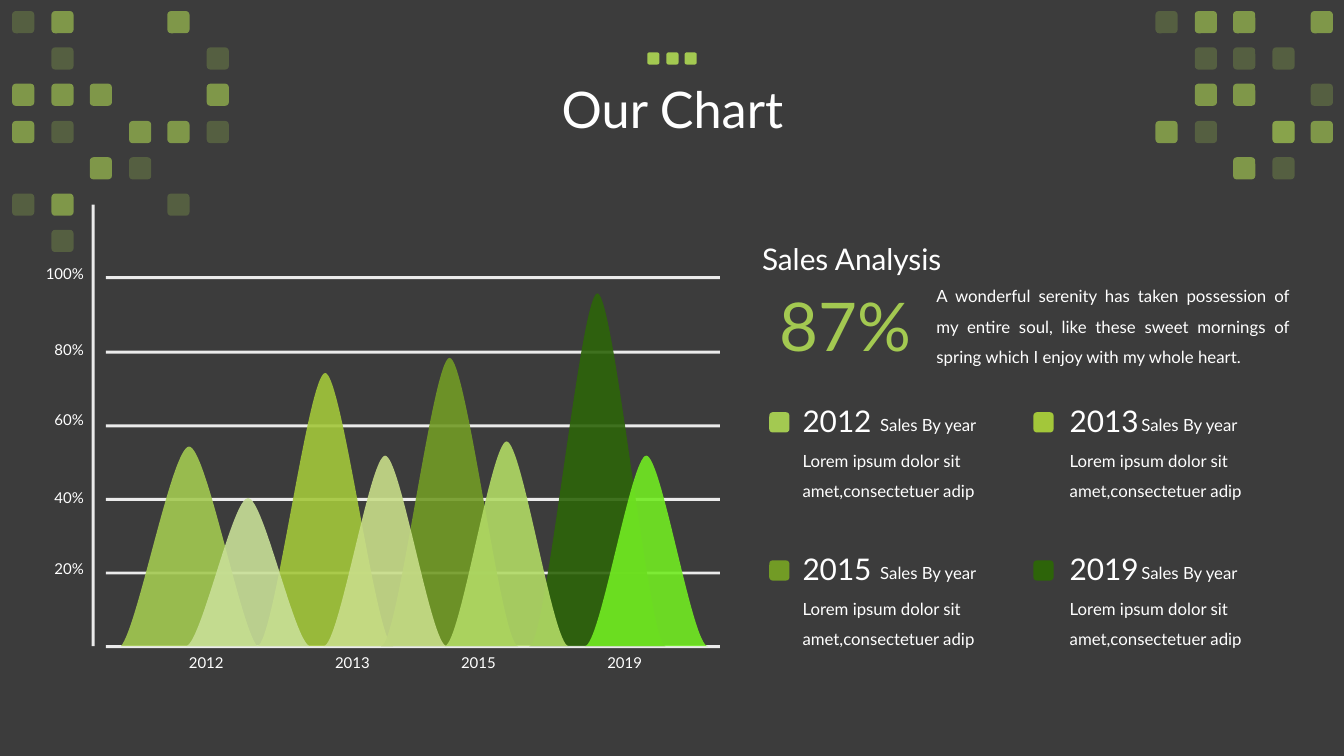
from lxml import etree
from pptx import Presentation
from pptx.dml.color import RGBColor
from pptx.enum.shapes import MSO_SHAPE
from pptx.enum.text import MSO_ANCHOR, MSO_AUTO_SIZE, PP_ALIGN
from pptx.oxml.ns import qn
from pptx.util import Pt

PX = 9144
FONT = "Lato"
RECTANGLE, ROUNDED = MSO_SHAPE.RECTANGLE, MSO_SHAPE.ROUNDED_RECTANGLE
LEFT, CENTER, RIGHT, JUSTIFY = PP_ALIGN.LEFT, PP_ALIGN.CENTER, PP_ALIGN.RIGHT, PP_ALIGN.JUSTIFY
MIDDLE, NO_AUTOFIT = MSO_ANCHOR.MIDDLE, MSO_AUTO_SIZE.NONE
COLORS = {
    "background": "3C3C3C",
    "white": "FFFFFF",
    "lime": "A3C951",
    "olive": "A3C73A",
    "moss": "729B25",
    "forest": "2D6409",
    "pale": "C8DF97",
    "neon": "72EB22",
    "spring": "B1DA65",
    "sage": "C8DD89",
}


def paint(shape, color, opacity=100):
    shape.shadow.inherit = False
    shape.line.fill.background()
    shape.fill.solid()
    shape.fill.fore_color.rgb = RGBColor.from_string(COLORS[color])
    if opacity < 100:
        color_element = shape.element.spPr.find(".//" + qn("a:srgbClr"))
        etree.SubElement(color_element, qn("a:alpha"), val=str(opacity * 1000))


def add_text(text, box, size, align=LEFT, color="white", spacing=None, wrap=True, margins=(10, 5)):
    text_box = slide.shapes.add_textbox(*[value * PX for value in box])
    frame = text_box.text_frame
    frame.word_wrap = wrap
    frame.margin_left = frame.margin_right = margins[0] * PX
    frame.margin_top = frame.margin_bottom = margins[1] * PX
    paragraph = frame.paragraphs[0]
    paragraph.text = text
    paragraph.alignment = align
    paragraph.line_spacing = spacing
    paragraph.font.name = FONT
    paragraph.font.size = Pt(size)
    paragraph.font.color.rgb = RGBColor.from_string(COLORS[color])


presentation = Presentation()
presentation.slide_width = 1333 * PX
presentation.slide_height = 750 * PX
slide = presentation.slides.add_slide(presentation.slide_layouts[5])
slide.background.fill.solid()
slide.background.fill.fore_color.rgb = RGBColor.from_string(COLORS["background"])

title = slide.shapes.title
title.left, title.top, title.width, title.height = 92 * PX, 39 * PX, 1150 * PX, 145 * PX
title.text_frame.text = "Our Chart"
title.text_frame.vertical_anchor = MIDDLE
title.text_frame.auto_size = NO_AUTOFIT
heading = title.text_frame.paragraphs[0]
heading.alignment = CENTER
heading.line_spacing = 0.9
heading.font.name = FONT
heading.font.size = Pt(36)
heading.font.color.rgb = RGBColor.from_string(COLORS["white"])

for index in range(6):
    top = round(274.5 + 73.1 * index)
    grid_line = slide.shapes.add_shape(RECTANGLE, 105 * PX, top * PX, 609 * PX, 3 * PX)
    paint(grid_line, "white", 90)
axis = slide.shapes.add_shape(RECTANGLE, 91 * PX, 203 * PX, 3 * PX, 438 * PX)
paint(axis, "white", 90)

BASELINE = 641
peaks = [
    (120, 443, 135, "lime", 0.1),
    (525, 291, 135, "forest", 0),
    (255, 370, 135, "olive", 0),
    (378, 355, 136, "moss", 0),
    (185, 494, 122, "pale", 0.04),
    (580, 452, 122, "neon", 0),
    (441, 438, 123, "spring", 0),
    (321, 452, 122, "sage", 0),
]
for left, top, width, color, lift in peaks:
    height = BASELINE - top
    builder = slide.shapes.build_freeform(left, BASELINE, scale=PX)
    builder.add_line_segments([(left + width / 2, top), (left + width, BASELINE)], close=True)
    peak = builder.convert_to_shape()
    paint(peak, color, 90)
    outline = peak.element.spPr.find(".//" + qn("a:path"))
    outline.set("w", str(width * PX))
    outline.set("h", str(height * PX))
    foot = 1 - lift
    curves = [
        [(0.125, foot), (0.375, 0), (0.5, 0)],
        [(0.625, 0), (0.875, foot), (1, 1)],
    ]
    start = outline.find(qn("a:moveTo")).find(qn("a:pt"))
    start.set("x", "0")
    start.set("y", str(height * PX))
    for line, curve in zip(outline.findall(qn("a:lnTo")), curves):
        bezier = etree.Element(qn("a:cubicBezTo"))
        for x, y in curve:
            across, down = round(x * width * PX), round(y * height * PX)
            etree.SubElement(bezier, qn("a:pt"), x=str(across), y=str(down))
        outline.replace(line, bezier)

for label, top in [("20%", 550), ("40%", 480), ("60%", 402), ("80%", 333)]:
    add_text(label, (43, top, 50, 28), 10.7, RIGHT, wrap=False)
add_text("100%", (34, 258, 59, 28), 10.7, RIGHT, wrap=False)
for label, left in [("2012", 177), ("2013", 322), ("2015", 447), ("2019", 592)]:
    add_text(label, (left, 643, 55, 28), 10.7, CENTER, wrap=False)

add_text("Sales Analysis", (746, 234, 212, 46), 21.3, wrap=False)
add_text(
    "A wonderful serenity has taken possession of my entire soul, "
    "like these sweet mornings of spring which I enjoy with my whole heart.",
    (919, 269, 370, 97), 12, JUSTIFY, spacing=1.5,
)
add_text("87%", (763, 277, 153, 91), 48, color="lime", wrap=False)

LEGEND_MARGINS = (13, 7)
legend = [
    ("2012", "lime", 763, 783, 860, 0),
    ("2013", "olive", 1025, 1048, 1119, 0),
    ("2015", "moss", 763, 783, 860, 147),
    ("2019", "forest", 1025, 1048, 1119, 147),
]
for year, color, swatch_left, text_left, caption_left, drop in legend:
    swatch = slide.shapes.add_shape(ROUNDED, swatch_left * PX, (409 + drop) * PX, 20 * PX, 20 * PX)
    paint(swatch, color)
    add_text(year, (text_left, 392 + drop, 113, 55), 21.3, margins=LEGEND_MARGINS)
    add_text("Sales By year", (caption_left, 404 + drop, 148, 29), 12, margins=LEGEND_MARGINS)
    add_text(
        "Lorem ipsum dolor sit amet,consectetuer adip",
        (text_left, 430 + drop, 218, 70), 12, spacing=1.5, margins=LEGEND_MARGINS,
    )

OPACITIES = {" ": [], "f": [25], "S": [65], "B": [65, 25]}
mosaics = [
    (12, ["fS  S ", " f   f", "SSS  S", "Sf SSf", "  Sf  ", "fS  f ", " f    "]),
    (1146, ["fSS S", " fff ", " SS f", "Sf BS", "  Sf "]),
]
for mosaic_left, rows in mosaics:
    mosaic = slide.shapes.add_group_shape()
    for row, marks in enumerate(rows):
        for column, mark in enumerate(marks):
            left, top = round(mosaic_left + 38.6 * column), round(11 + 36.2 * row)
            for opacity in OPACITIES[mark]:
                tile = mosaic.shapes.add_shape(ROUNDED, left * PX, top * PX, 22 * PX, 22 * PX)
                paint(tile, "lime", opacity)

title_dots = slide.shapes.add_group_shape()
for left in (642, 661, 679):
    paint(title_dots.shapes.add_shape(ROUNDED, left * PX, 52 * PX, 12 * PX, 12 * PX), "lime")

presentation.save("out.pptx")
